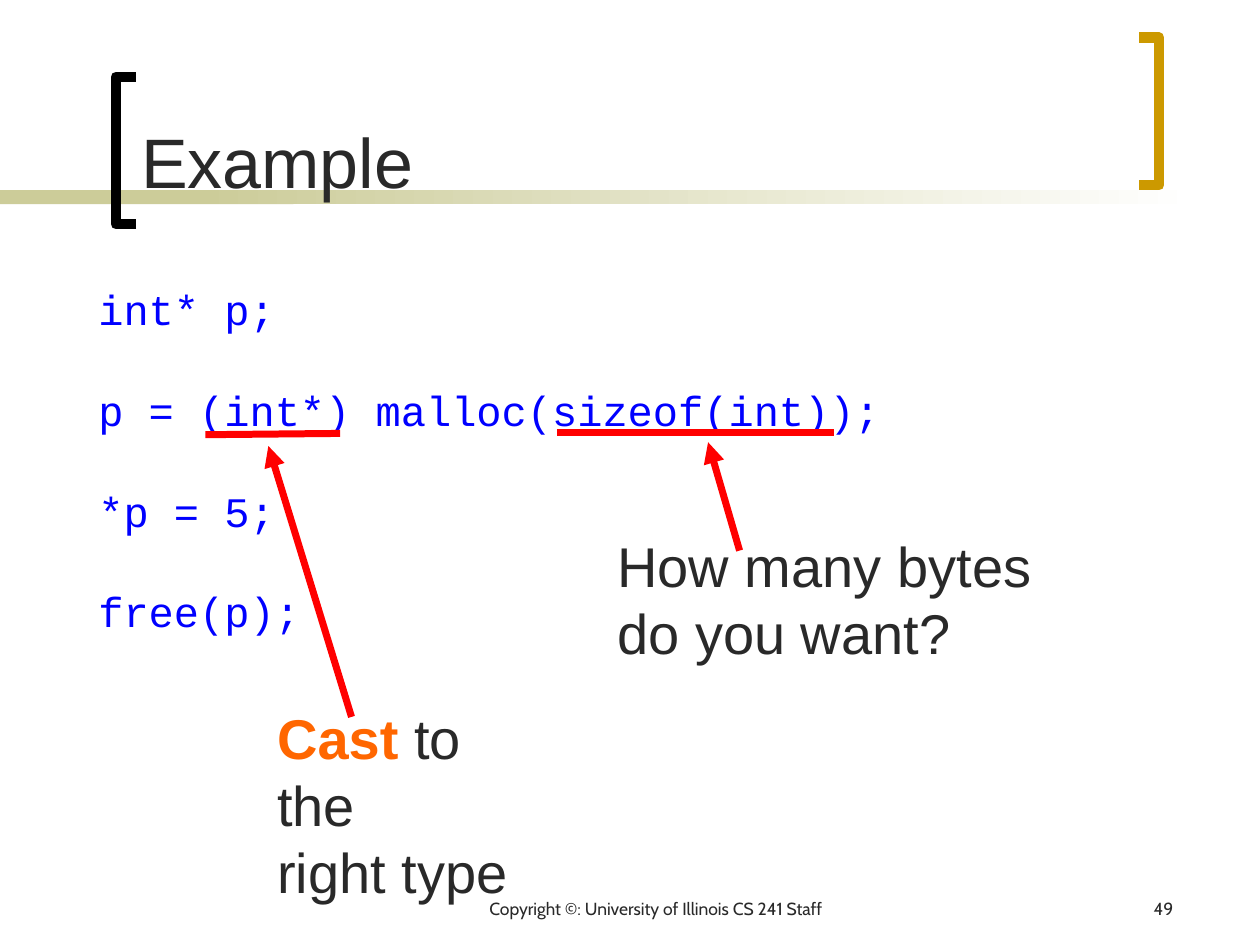
import pptx
import pptx.util
import pptx.dml.color
import pptx.enum.dml
import pptx.enum.shapes
import pptx.enum.text
import pptx.oxml
import pptx.oxml.ns
from lxml import etree

Inches, Pt = pptx.util.Inches, pptx.util.Pt
ALIGN = pptx.enum.text.PP_ALIGN

THEME = {
    "ink": "292929", "code": "0000FF", "accent": "FF6600", "mark": "FF0000",
    "band": "CCCC99", "white": "FFFFFF", "left": "000000", "right": "CC9900",
    "sans": "Arial", "mono": "Courier New", "footer": "Cabin",
    "title_pt": 40, "code_pt": 24, "note_pt": 32, "footer_pt": 10,
    "leading": 1.2, "mark_pt": 4, "bracket_pt": 6,
}

TITLE = "Example"
CODE = ["int* p;", "p = (int*) malloc(sizeof(int));", "*p = 5;", "free(p);"]
# Each note: box, lines of (text, emphasised) runs, underline, arrow
NOTES = [
    {"box": (2.16, 5.58, 2.2, 1.6),
     "lines": [[("Cast ", True), ("to the", False)], [("right type", False)]],
     "underline": (1.63, 3.45, 2.7, 3.44), "arrow": (2.79, 5.69, 2.13, 3.54)},
    {"box": (4.86, 4.22, 3.45, 1.13),
     "lines": [[("How many bytes", False)], [("do you want?", False)]],
     "underline": (4.42, 3.43, 6.62, 3.43), "arrow": (5.87, 4.37, 5.62, 3.51)},
]
FOOTERS = [
    ("Copyright ©: University of Illinois CS 241 Staff", 3.08, 4.25, ALIGN.CENTER),
    ("49", 7.33, 2.08, ALIGN.RIGHT),
]
# Brackets: spine x, direction of the arms, top, colour
BRACKETS = [(0.92, 1, 0.61, "left"), (9.2, -1, 0.3, "right")]
BRACKET_ARM, BRACKET_HEIGHT = 0.16, 1.17
BAND_TOP, BAND_HEIGHT = 1.51, 0.11


def rgb(name):
    return pptx.dml.color.RGBColor.from_string(THEME[name])


def add_run(p, text, font, size, color, bold=False):
    r = p.add_run()
    r.text = text
    r.font.name, r.font.size = THEME[font], Pt(THEME[size])
    r.font.color.rgb, r.font.bold = rgb(color), bold


def set_insets(tf, left, top, right, bottom):
    tf.margin_left, tf.margin_top = Inches(left), Inches(top)
    tf.margin_right, tf.margin_bottom = Inches(right), Inches(bottom)


def add_text(shapes, box, lines, font, size, gap=0):
    """Add a left-aligned box; gap is the space between paragraphs in points."""
    tf = shapes.add_textbox(*map(Inches, box)).text_frame
    tf.word_wrap = True
    set_insets(tf, 0.04, 0, 0.04, 0)
    for i, runs in enumerate(lines):
        p = tf.paragraphs[0] if i == 0 else tf.add_paragraph()
        p.line_spacing = Pt(THEME[size] * THEME["leading"])
        if i and gap:
            p.space_before = Pt(gap)
        for text, color, bold in runs:
            add_run(p, text, font, size, color, bold)


def add_mark(shapes, ends, arrow=False):
    line = shapes.add_connector(pptx.enum.shapes.MSO_CONNECTOR.STRAIGHT,
                                *map(Inches, ends))
    line.line.color.rgb, line.line.width = rgb("mark"), Pt(THEME["mark_pt"])
    qn = pptx.oxml.ns.qn
    if arrow:
        etree.SubElement(line.line._get_or_add_ln(), qn("a:tailEnd"), type="triangle")
    etree.SubElement(line._element.spPr, qn("a:effectLst"))


def add_band(s, left, width, fade):
    sp = s.shapes.add_shape(pptx.enum.shapes.MSO_SHAPE.RECTANGLE,
                            *map(Inches, (left, BAND_TOP, width, BAND_HEIGHT)))
    sp.shadow.inherit = False
    sp.line.fill.background()
    if fade:
        sp.fill.gradient()
        sp.fill.gradient_angle = 0
        for stop, color, position in zip(sp.fill.gradient_stops, ("band", "white"), (0, 1)):
            stop.color.rgb, stop.position = rgb(color), position
    else:
        sp.fill.solid()
        sp.fill.fore_color.rgb = rgb("band")
    return sp


def add_bracket(s, spine, direction, top, color):
    tip, bottom = spine + direction * BRACKET_ARM, top + BRACKET_HEIGHT
    points = [(Inches(x), Inches(y)) for x, y in
              ((tip, bottom), (spine, bottom), (spine, top), (tip, top))]
    builder = s.shapes.build_freeform(*points[0])
    builder.add_line_segments(points[1:], close=False)
    sp = builder.convert_to_shape()
    sp.shadow.inherit = False
    sp.fill.background()
    sp.line.color.rgb, sp.line.width = rgb(color), Pt(THEME["bracket_pt"])
    return sp


def main():
    prs = pptx.Presentation()
    prs.slide_width, prs.slide_height = Inches(10), Inches(7.5)
    s = prs.slides.add_slide(prs.slide_layouts[5])

    title = s.shapes.title
    title.left, title.top = Inches(1.02), Inches(0.11)
    title.width, title.height = Inches(7.83), Inches(1.55)
    tf = title.text_frame
    tf.vertical_anchor = pptx.enum.text.MSO_ANCHOR.BOTTOM
    set_insets(tf, 0.1, 0.05, 0.14, 0.05)
    tf.paragraphs[0].alignment = ALIGN.LEFT
    add_run(tf.paragraphs[0], TITLE, "sans", "title_pt", "ink")

    decor = [add_band(s, 0, 2.33, False), add_band(s, 1.58, 7.92, True)]
    decor += [add_bracket(s, *bracket) for bracket in BRACKETS]
    for sp in decor:  # keep the title in front of its decoration
        title._element.addprevious(sp._element)

    add_text(s.shapes, (0.74, 2.25, 7.68, 2.74), [[(line, "code", False)] for line in CODE],
             "mono", "code_pt", gap=THEME["code_pt"] * THEME["leading"])

    for note in NOTES:
        group = s.shapes.add_group_shape().shapes
        lines = [[(text, "accent" if strong else "ink", strong) for text, strong in runs]
                 for runs in note["lines"]]
        add_text(group, note["box"], lines, "sans", "note_pt")
        add_mark(group, note["underline"])
        add_mark(group, note["arrow"], arrow=True)

    for text, left, width, align in FOOTERS:
        tf = s.shapes.add_textbox(*map(Inches, (left, 7.08, width, 0.25))).text_frame
        tf.word_wrap = True
        tf.paragraphs[0].alignment = align
        add_run(tf.paragraphs[0], text, "footer", "footer_pt", "ink")

    prs.save("out.pptx")


if __name__ == "__main__":
    main()
